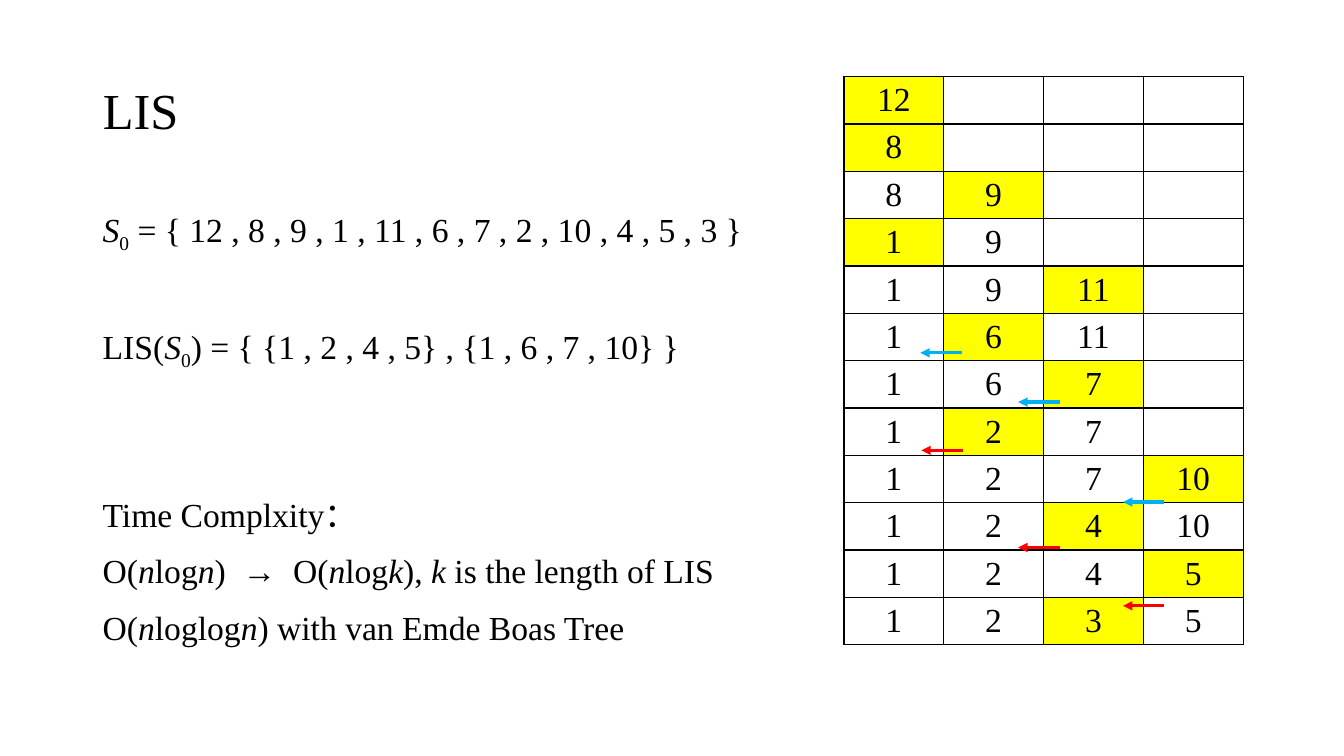
from lxml import etree
from pptx import Presentation
from pptx import util as u
from pptx.dml.color import RGBColor
from pptx.enum import shapes, text
from pptx.oxml import ns

COLORS = {"ink": "000000", "new": "FFFF00", "red": "FF0000", "blue": "00B0F0"}
SEQUENCE = [12, 8, 9, 1, 11, 6, 7, 2, 10, 4, 5, 3]

# Runs starting with "*" are italic, runs starting with "_" are subscripts.
# Each paragraph is (space before in points, runs).
BODY = [
    (0, ["*S", "_0", " = { " + " , ".join(map(str, SEQUENCE)) + " }"]),
    (49, ["LIS(", "*S", "_0", ") = { {1 , 2 , 4 , 5} , {1 , 6 , 7 , 10} }"]),
    (86, ["Time Complxity："]),
    (10, ["O(", "*n", "log", "*n", ")  →  O(", "*n", "log", "*k", "), ", "*k",
          " is the length of LIS"]),
    (10, ["O(", "*n", "loglog", "*n", ") with van Emde Boas Tree"]),
]

# Color, and the arrow's start in table columns and rows
ARROWS = [
    ("red", 3.21, 11.17), ("red", 2.16, 9.94), ("red", 1.19, 7.89),
    ("blue", 3.21, 8.98), ("blue", 2.16, 6.87), ("blue", 1.18, 5.83),
]


def lis_steps(sequence):
    """Yield the smallest tails after each value, and the column just written."""
    tails = []
    for value in sequence:
        column = sum(tail < value for tail in tails)
        tails[column:column + 1] = [value]
        yield list(tails), column


class SlideBuilder:
    FONT = "Times New Roman"
    LEFT, TOP, COLUMN, ROW = 8.37, 0.76, 0.99, 0.47

    def __init__(self, presentation):
        self.slide = presentation.slides.add_slide(presentation.slide_layouts[5])

    def grid(self, column, row):
        """Return the position of a point given in table columns and rows."""
        return (u.Inches(self.LEFT + column * self.COLUMN),
                u.Inches(self.TOP + row * self.ROW))

    def color(self, name):
        return RGBColor.from_string(COLORS[name])

    def style(self, paragraph, size, align=text.PP_ALIGN.LEFT):
        paragraph.alignment = align
        paragraph.font.name = self.FONT
        paragraph.font.size = u.Pt(size)
        paragraph.font.color.rgb = self.color("ink")

    def title(self, words, box):
        shape = self.slide.shapes.title
        shape.left, shape.top, shape.width, shape.height = map(u.Inches, box)
        shape.text_frame.text = words
        shape.text_frame.vertical_anchor = text.MSO_ANCHOR.MIDDLE
        paragraph = shape.text_frame.paragraphs[0]
        paragraph.line_spacing = 0.9
        self.style(paragraph, 36)

    def body(self, paragraphs, box):
        frame = self.slide.shapes.add_textbox(*map(u.Inches, box)).text_frame
        frame.word_wrap = True
        for index, (space, runs) in enumerate(paragraphs):
            paragraph = frame.add_paragraph() if index else frame.paragraphs[0]
            paragraph.space_before = u.Pt(space)
            paragraph.line_spacing = 1.05
            self.style(paragraph, 24)
            for words in runs:
                run = paragraph.add_run()
                run.text = words.lstrip("*_")
                if words.startswith("*"):
                    run.font.italic = True
                elif words.startswith("_"):
                    run._r.get_or_add_rPr().set("baseline", "-25000")

    def border(self, cell):
        properties = cell._tc.get_or_add_tcPr()
        for index, side in enumerate(("lnL", "lnR", "lnT", "lnB")):
            line = etree.Element(ns.qn(f"a:{side}"), w=str(u.Pt(1)))
            fill = etree.SubElement(line, ns.qn("a:solidFill"))
            etree.SubElement(fill, ns.qn("a:srgbClr"), val=COLORS["ink"])
            properties.insert(index, line)

    def table(self, steps, columns):
        rows = len(steps)
        size = u.Inches(columns * self.COLUMN), u.Inches(rows * self.ROW)
        table = self.slide.shapes.add_table(
            rows, columns, *self.grid(0, 0), *size).table
        table.first_row = table.horz_banding = False
        for column in table.columns:
            column.width = u.Inches(self.COLUMN)
        for row, (values, written) in zip(table.rows, steps):
            row.height = u.Inches(self.ROW)
            for index, cell in enumerate(row.cells):
                cell.margin_top = cell.margin_bottom = 0
                cell.vertical_anchor = text.MSO_ANCHOR.MIDDLE
                if index < len(values):
                    cell.text = str(values[index])
                self.style(cell.text_frame.paragraphs[0], 24, text.PP_ALIGN.CENTER)
                if index == written:
                    cell.fill.solid()
                    cell.fill.fore_color.rgb = self.color("new")
                else:
                    cell.fill.background()
                self.border(cell)

    def arrow(self, color, column, row, length=0.41):
        x, y = self.grid(column, row)
        connector = self.slide.shapes.add_connector(
            shapes.MSO_CONNECTOR.STRAIGHT, x, y, x - u.Inches(length), y)
        connector.line.color.rgb = self.color(color)
        connector.line.width = u.Pt(2.25)
        etree.SubElement(connector.line._get_or_add_ln(), ns.qn("a:tailEnd"),
                         type="triangle")
        etree.SubElement(connector._element.spPr, ns.qn("a:effectLst"))


def main():
    presentation = Presentation()
    presentation.slide_width = u.Inches(13.33)
    presentation.slide_height = u.Inches(7.5)
    builder = SlideBuilder(presentation)
    builder.title("LIS", (0.92, 0.4, 11.5, 1.45))
    builder.body(BODY, (0.92, 2, 11.5, 4.76))
    builder.table(list(lis_steps(SEQUENCE)), columns=4)
    for arrow in ARROWS:
        builder.arrow(*arrow)
    presentation.save("out.pptx")


if __name__ == "__main__":
    main()
